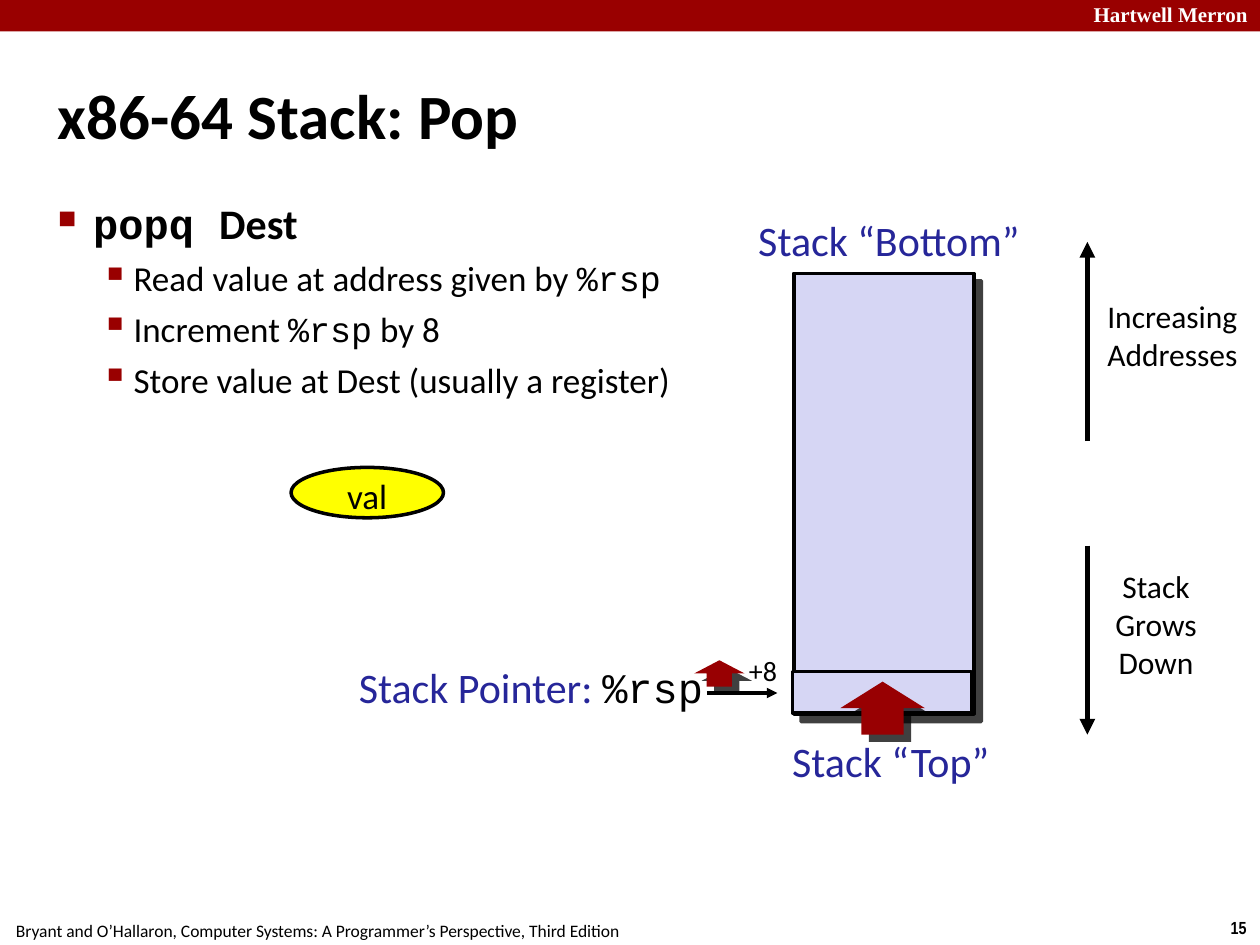
from pptx import Presentation
from pptx.dml.color import RGBColor
from pptx.enum.shapes import MSO_CONNECTOR, MSO_SHAPE
from pptx.enum.text import MSO_ANCHOR, MSO_AUTO_SIZE, PP_ALIGN
from pptx.oxml.ns import qn
from pptx.util import Inches, Pt
from lxml.etree import SubElement

COLORS = {"black": "000000", "white": "FFFFFF", "red": "990000", "arrow": "980002",
          "blue": "262699", "stack": "D6D6F4", "yellow": "FFFF00"}
SANS, MONO = "Calibri", "Courier New"
ALIGN = {"l": PP_ALIGN.LEFT, "c": PP_ALIGN.CENTER, "r": PP_ALIGN.RIGHT}

TITLE = "x86-64 Stack: Pop"
# Bullets: (level, runs), each run (text, font)
BULLETS = [
    (0, [("popq ", MONO), ("Dest", SANS)]),
    (1, [("Read value at address given by ", SANS), ("%rsp", MONO)]),
    (1, [("Increment ", SANS), ("%rsp", MONO), (" by 8", SANS)]),
    (1, [("Store value at Dest (usually a register)", SANS)]),
]
# Per level: margin, hanging indent, space before, text size, bold, bullet, bullet percent
LEVELS = [(0.28, 0.28, 6, 24, True, "■", 60), (0.6, 0.26, 5, 20, False, "▪", 110)]

# Labels: (left, top, width, height), inset, alignment, runs (text, size, font, color, bold)
FOOTER = [
    ((9.66, 7.23, 0.34, 0.27), (0.1, 0.05), "c", [("15", 10, "Arial Narrow", "black", True)]),
    ((-0.02, 7.25, 5.08, 0.27), (0.1, 0.05), "c",
     [("Bryant and O’Hallaron, Computer Systems: A Programmer’s Perspective, Third Edition",
       10, SANS, "black", False)]),
]
SCHOOL = ((8.64, -0.03, 1.44, 0.28), (0.04, 0.04), "l",
          [("Hartwell Merron", 12, "Times New Roman", "white", True)])
LABELS = [
    ((2.8, 5.25, 2.78, 0.4), (0, 0), "r",
     [("Stack Pointer: ", 24, SANS, "blue", False), ("%rsp", 24, MONO, "black", False)]),
    ((6.22, 5.84, 1.7, 0.49), (0, 0), "c", [("Stack “Top”", 24, SANS, "blue", False)]),
    ((5.94, 1.7, 2.23, 0.49), (0, 0), "c", [("Stack “Bottom”", 24, SANS, "blue", False)]),
    ((5.9, 5.15, 0.31, 0.35), (0.04, 0.04), "c", [("+8", 16, SANS, "black", False)]),
]
# Side notes: box, lines, wrap
NOTES = [((8.73, 4.5, 0.89, 1), ["Stack Grows", "Down"], True),
         ((8.74, 2.36, 1.13, 0.69), ["Increasing", "Addresses"], False)]
# Lines: start, end, width, arrowhead
POINTER = ((5.61, 5.5), (6.17, 5.5), 2, True)
DIRECTIONS = [((8.63, 4.33), (8.63, 5.83), 3, True), ((8.63, 3.5), (8.63, 1.92), 3, True)]
TOP_EDGE = ((6.29, 5.33), (7.71, 5.33), 2, False)

STACK = (6.3, 2.17, 1.43, 3.5)
TOP_CELL = (6.29, 5.33, 1.42, 0.33)
VALUE = (2.31, 3.71, 1.21, 0.4)
POINTER_MOVE = (5.51, 5.24, 0.4, 0.21)
TOP_MOVE = (6.67, 5.41, 0.67, 0.42)


def rgb(name):
    return RGBColor.from_string(COLORS[name])


def inches(box):
    return [Inches(v) for v in box]


def add_run(p, text, size, font, color="black", bold=False):
    r = p.add_run()
    r.text = text
    r.font.size, r.font.name, r.font.bold = Pt(size), font, bold
    r.font.color.rgb = rgb(color)


def set_frame(tf, inset, wrap=True, anchor=MSO_ANCHOR.TOP):
    tf.margin_left = tf.margin_right = Inches(inset[0])
    tf.margin_top = tf.margin_bottom = Inches(inset[1])
    tf.word_wrap = wrap
    tf.auto_size = MSO_AUTO_SIZE.NONE if wrap else MSO_AUTO_SIZE.SHAPE_TO_FIT_TEXT
    tf.vertical_anchor = anchor


def set_indent(p, margin, hanging):
    pPr = p._p.get_or_add_pPr()
    pPr.set("marL", str(Inches(margin)))
    pPr.set("indent", str(-Inches(hanging)))
    return pPr


def add_label(shapes, box, inset, align, runs, wrap=False):
    tf = shapes.add_textbox(*inches(box)).text_frame
    set_frame(tf, inset, wrap)
    p = tf.paragraphs[0]
    p.alignment = ALIGN[align]
    for run in runs:
        add_run(p, *run)


def style(sp, fill, outlined=False, shadow=False):
    sp.fill.solid()
    sp.fill.fore_color.rgb = rgb(fill)
    if outlined:
        sp.line.color.rgb, sp.line.width = rgb("black"), Pt(2)
    else:
        sp.line.fill.background()
    sp.shadow.inherit = False
    if shadow:
        effects = sp._element.spPr.find(qn("a:effectLst"))
        outer = SubElement(effects, qn("a:outerShdw"), blurRad="0", dist=str(Pt(6)),
                           dir=str(45 * 60000), algn="ctr", rotWithShape="0")
        clr = SubElement(outer, qn("a:srgbClr"), val=COLORS["black"])
        SubElement(clr, qn("a:alpha"), val="75000")


def add_box(shapes, box, fill, kind=MSO_SHAPE.RECTANGLE, **look):
    sp = shapes.add_shape(kind, *inches(box))
    style(sp, fill, **look)
    return sp


def add_line(shapes, start, end, width, arrow):
    sp = shapes.add_connector(MSO_CONNECTOR.STRAIGHT, *inches(start + end))
    sp.line.color.rgb, sp.line.width = rgb("black"), Pt(width)
    if arrow:
        SubElement(sp.line._get_or_add_ln(), qn("a:tailEnd"), type="triangle")
    SubElement(sp._element.spPr, qn("a:effectLst"))


def add_up_arrow(shapes, box):
    """Draw a block arrow whose shaft is half its width and head half its height."""
    x, y, w, h = box
    outline = [(0, 0.5), (0.25, 0.5), (0.25, 1), (0.75, 1), (0.75, 0.5), (1, 0.5), (0.5, 0)]
    points = [inches((x + w * u, y + h * v)) for u, v in outline]
    builder = shapes.build_freeform(*points[0])
    builder.add_line_segments(points[1:], close=True)
    style(builder.convert_to_shape(), "arrow", shadow=True)


def add_bullets(shapes):
    tf = shapes.add_textbox(*inches((0.42, 1.53, 9.17, 5.94))).text_frame
    set_frame(tf, (0.04, 0.04))
    for i, (level, runs) in enumerate(BULLETS):
        margin, hanging, before, size, bold, char, percent = LEVELS[level]
        p = tf.add_paragraph() if i else tf.paragraphs[0]
        p.level, p.space_before = level, Pt(before)
        pPr = set_indent(p, margin, hanging)
        SubElement(SubElement(pPr, qn("a:buClr")), qn("a:srgbClr"), val=COLORS["red"])
        SubElement(pPr, qn("a:buSzPct"), val=str(percent * 1000))
        SubElement(pPr, qn("a:buChar"), char=char)
        for text, font in runs:
            add_run(p, text, size, font, bold=bold)


def add_title(title):
    title.left, title.top, title.width, title.height = inches((0.42, 0.28, 9.17, 1.25))
    tf = title.text_frame
    set_frame(tf, (0.04, 0.04), anchor=MSO_ANCHOR.MIDDLE)
    p = tf.paragraphs[0]
    p.alignment = PP_ALIGN.LEFT
    set_indent(p, 0.13, 0.13)
    add_run(p, TITLE, 36, SANS, bold=True)


def add_note(shapes, box, lines, wrap):
    tf = add_box(shapes, box, "white").text_frame
    set_frame(tf, (0, 0), wrap)
    for i, line in enumerate(lines):
        p = tf.add_paragraph() if i else tf.paragraphs[0]
        p.alignment = PP_ALIGN.CENTER
        add_run(p, line, 18, SANS)


def main():
    prs = Presentation()
    prs.slide_width, prs.slide_height = Inches(10), Inches(7.5)
    slide = prs.slides.add_slide(prs.slide_layouts[5])
    shapes = slide.shapes

    add_title(shapes.title)
    for label in FOOTER:
        add_label(shapes, *label)
    add_box(shapes, (0, 0, 10, 0.25), "red")
    add_label(shapes, *SCHOOL, wrap=True)
    add_bullets(shapes)

    add_box(shapes, STACK, "stack", outlined=True, shadow=True)
    add_line(shapes, *TOP_EDGE)
    add_box(shapes, TOP_CELL, "stack", outlined=True)
    for note in NOTES:
        add_note(shapes, *note)
    for line in [POINTER, *DIRECTIONS]:
        add_line(shapes, *line)
    for label in LABELS:
        add_label(shapes, *label)
    for box in (POINTER_MOVE, TOP_MOVE):
        add_up_arrow(shapes, box)

    tf = add_box(shapes, VALUE, "yellow", MSO_SHAPE.OVAL, outlined=True).text_frame
    set_frame(tf, (0.1, 0))
    tf.paragraphs[0].alignment = PP_ALIGN.CENTER
    add_run(tf.paragraphs[0], "val", 20, SANS)

    prs.save("out.pptx")


if __name__ == "__main__":
    main()
